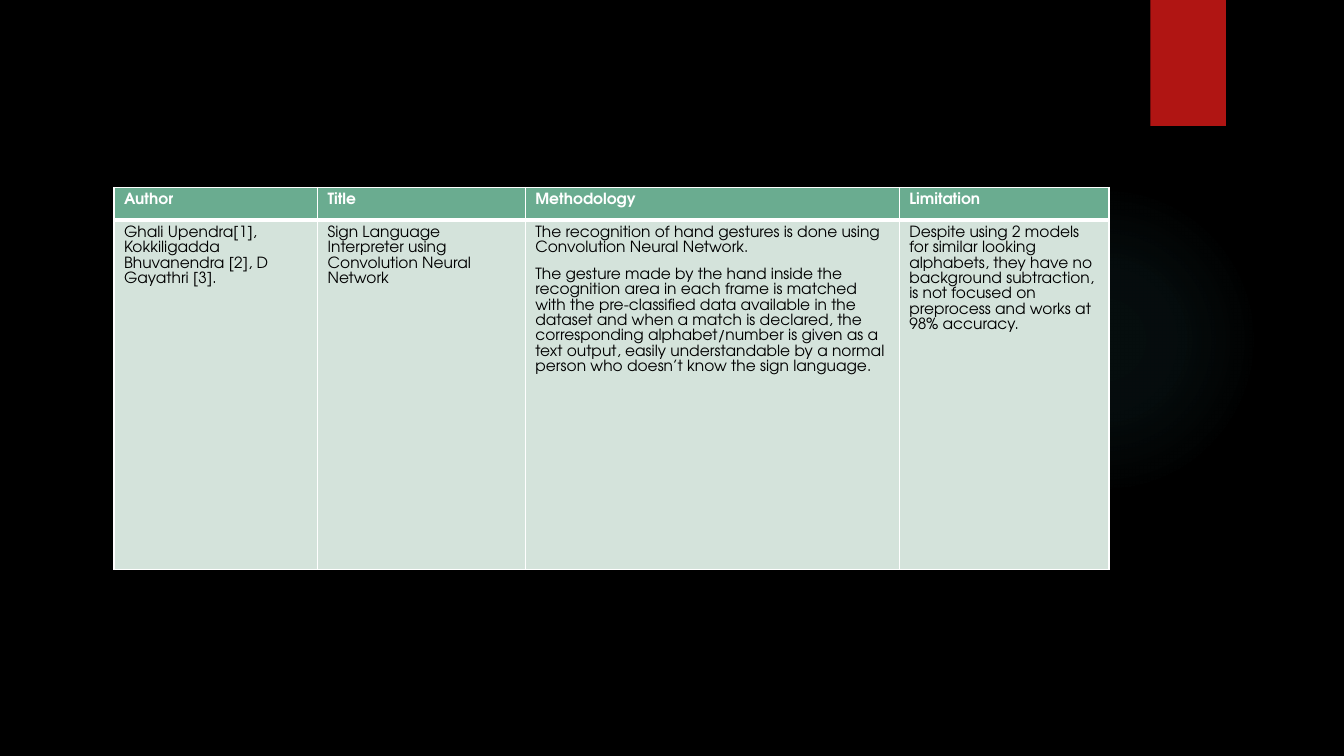
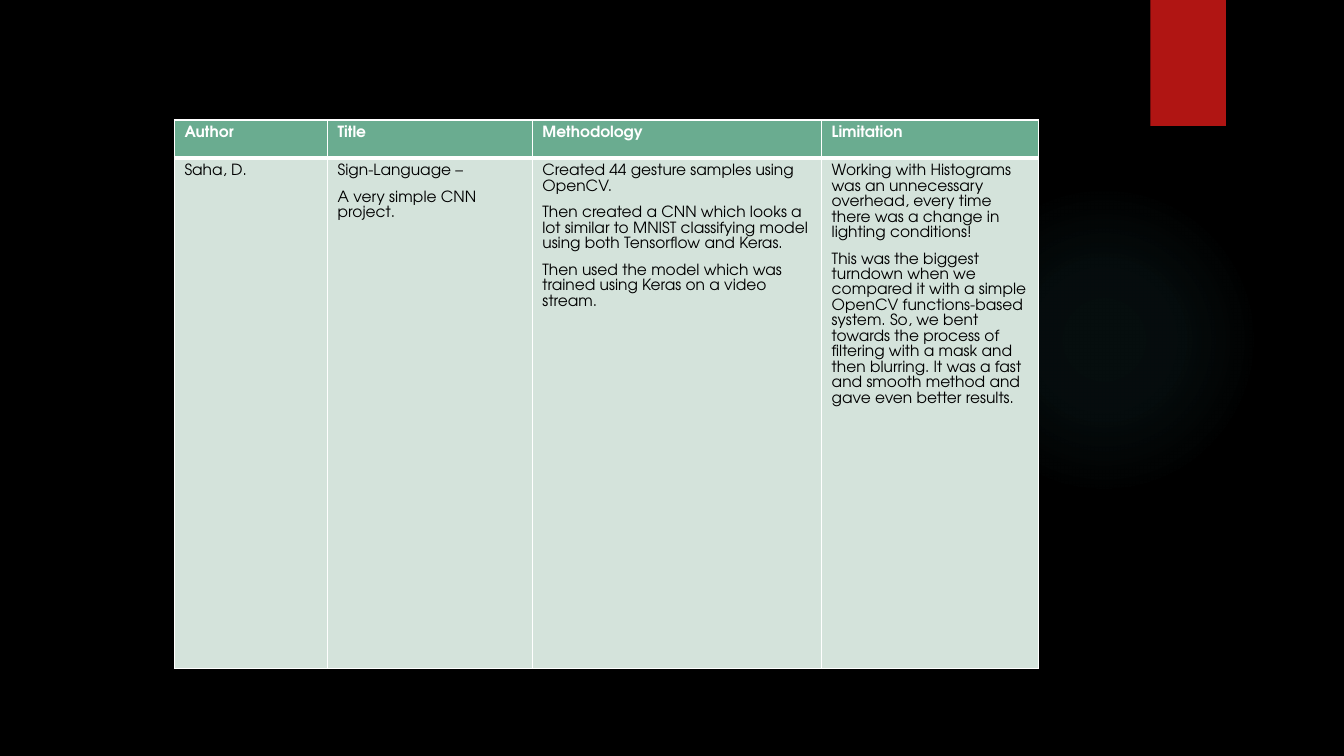
from pptx import Presentation
from pptx.dml.color import RGBColor
from pptx.enum.shapes import MSO_SHAPE
from pptx.oxml import parse_xml
from pptx.oxml.ns import nsdecls
from pptx.util import Inches, Pt

BLACK = RGBColor(0x00, 0x00, 0x00)
WHITE = RGBColor(0xFF, 0xFF, 0xFF)
RED = RGBColor(0xB0, 0x15, 0x13)
TEAL = RGBColor(0x50, 0xB9, 0xC1)
GREEN = RGBColor(0x6A, 0xAC, 0x90)
PALE_GREEN = RGBColor(0xD4, 0xE3, 0xDB)

HEADINGS = ["Author", "Title", "Methodology", "Limitation"]
GLOW_STOPS = [(0, 7), (36, 6), (69, 0)]

STUDIES = [
    {
        "left": 1.13, "top": 1.86,
        "widths": [2.02, 2.06, 3.71, 2.08],
        "heights": [0.32, 3.47],
        "entries": [
            ["Ghali Upendra[1], Kokkiligadda Bhuvanendra [2], D Gayathri [3]."],
            ["Sign Language Interpreter using Convolution Neural Network"],
            ["The recognition of hand gestures is done using Convolution Neural Network.",
             "The gesture made by the hand inside the recognition area in each frame is matched "
             "with the pre-classified data available in the dataset and when a match is declared, "
             "the corresponding alphabet/number is given as a text output, easily understandable "
             "by a normal person who doesn’t know the sign language."],
            ["Despite using 2 models for similar looking alphabets, they have no background "
             "subtraction, is not focused on preprocess and works at 98% accuracy."],
        ],
    },
    {
        "left": 1.73, "top": 1.19,
        "widths": [1.52, 2.03, 2.87, 2.15],
        "heights": [0.38, 5.06],
        "entries": [
            ["Saha, D."],
            ["Sign-Language –", "A very simple CNN project."],
            ["Created 44 gesture samples using OpenCV.",
             "Then created a CNN which looks a lot similar to MNIST classifying "
             "model using both Tensorflow and Keras.",
             "Then used the model which was trained using Keras on a video stream."],
            ["Working with Histograms was an unnecessary overhead, every time there was "
             "a change in lighting conditions!",
             "This was the biggest turndown when we compared it with a simple OpenCV "
             "functions-based system. So, we bent towards the process of filtering with a mask "
             "and then blurring. It was a fast and smooth method and gave even better results."],
        ],
    },
]


def apply(target, values):
    for name, value in values.items():
        setattr(target, name, value)


class Deck:
    font = {"name": "TeX Gyre Adventor", "size": Pt(11)}
    spacing = {"line_spacing": 1.07, "space_after": Pt(8)}
    header = {"fill": GREEN, "color": WHITE, "bold": True, "bottom": 3}
    body = {"fill": PALE_GREEN, "color": BLACK, "bold": False, "bottom": 1}

    def __init__(self):
        self.presentation = Presentation()
        apply(self.presentation, {"slide_width": Inches(13.33), "slide_height": Inches(7.5)})
        background = self.presentation.slide_master.background.fill
        background.solid()
        background.fore_color.rgb = BLACK
        self.slide = None

    def add_slide(self):
        self.slide = self.presentation.slides.add_slide(self.presentation.slide_layouts[6])
        self.add_glow()
        self.add_ribbon()

    def add_shape(self, kind, left, top, width, height):
        shape = self.slide.shapes.add_shape(
            kind, Inches(left), Inches(top), Inches(width), Inches(height))
        shape.shadow.inherit = False
        shape.line.fill.background()
        return shape

    def add_glow(self):
        glow = self.add_shape(MSO_SHAPE.OVAL, 9.41, 1.83, 3.08, 3.08)
        stops = "".join(
            f'<a:gs pos="{position * 1000}"><a:srgbClr val="{TEAL}">'
            f'<a:alpha val="{opacity * 1000}"/></a:srgbClr></a:gs>'
            for position, opacity in GLOW_STOPS)
        gradient = parse_xml(
            f'<a:gradFill {nsdecls("a")}><a:gsLst>{stops}</a:gsLst><a:path path="circle">'
            '<a:fillToRect l="50000" t="50000" r="50000" b="50000"/></a:path></a:gradFill>')
        glow._element.spPr.find(".//{*}prstGeom").addnext(gradient)

    def add_ribbon(self):
        ribbon = self.add_shape(MSO_SHAPE.RECTANGLE, 11.41, 0, 0.75, 1.25)
        ribbon.fill.solid()
        ribbon.fill.fore_color.rgb = RED

    def add_table(self, left, top, widths, heights, entries):
        table = self.slide.shapes.add_table(
            len(heights), len(widths), Inches(left), Inches(top),
            Inches(sum(widths)), Inches(sum(heights))).table
        for column, width in zip(table.columns, widths):
            column.width = Inches(width)
        for row, height in zip(table.rows, heights):
            row.height = Inches(height)
        for index, heading in enumerate(HEADINGS):
            self.fill_cell(table.cell(0, index), [heading], self.header)
            self.fill_cell(table.cell(1, index), entries[index], self.body)

    def fill_cell(self, cell, texts, style):
        self.add_borders(cell, style["bottom"])
        cell.fill.solid()
        cell.fill.fore_color.rgb = style["fill"]
        cell.text_frame.text = "\n".join(texts)
        for paragraph in cell.text_frame.paragraphs:
            apply(paragraph, self.spacing)
            for run in paragraph.runs:
                apply(run.font, {**self.font, "bold": style["bold"]})
                run.font.color.rgb = style["color"]

    def add_borders(self, cell, bottom):
        properties = cell._tc.get_or_add_tcPr()
        for side, width in {"L": 1, "R": 1, "T": 1, "B": bottom}.items():
            properties.append(parse_xml(
                f'<a:ln{side} {nsdecls("a")} w="{Pt(width)}"><a:solidFill>'
                f'<a:srgbClr val="{WHITE}"/></a:solidFill></a:ln{side}>'))


def main():
    deck = Deck()
    for study in STUDIES:
        deck.add_slide()
        deck.add_table(**study)
    deck.presentation.save("out.pptx")


if __name__ == "__main__":
    main()
